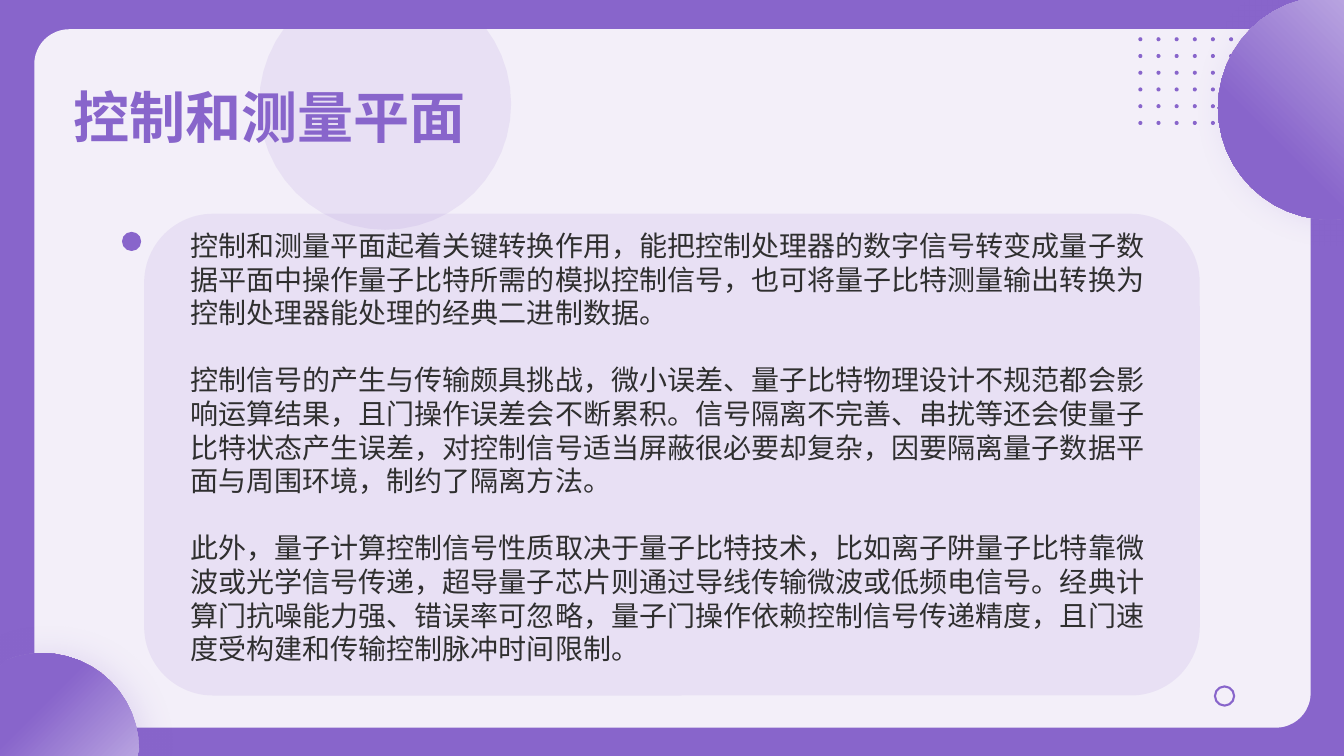
from math import cos, pi, sin

from lxml.etree import SubElement
from pptx import Presentation
from pptx.dml.color import RGBColor
from pptx.enum.shapes import MSO_SHAPE as Preset
from pptx.enum.text import MSO_ANCHOR as Anchor, MSO_AUTO_SIZE as AutoSize, PP_ALIGN as Align
from pptx.oxml.ns import qn
from pptx.util import Inches, Pt

WIDTH, HEIGHT = 13.33, 7.5
COLORS = {"purple": "8865CB", "lilac": "B8A3E0", "white": "FFFFFF", "ink": "2F2F2F"}
TITLE = "控制和测量平面"
PARAGRAPHS = [
    "控制和测量平面起着关键转换作用，能把控制处理器的数字信号转变成量子数据平面中操作量子比特所需的模拟控制信号，也可将量子比特测量输出转换为控制处理器能处理的经典二进制数据。",
    "控制信号的产生与传输颇具挑战，微小误差、量子比特物理设计不规范都会影响运算结果，且门操作误差会不断累积。信号隔离不完善、串扰等还会使量子比特状态产生误差，对控制信号适当屏蔽很必要却复杂，因要隔离量子数据平面与周围环境，制约了隔离方法。",
    "此外，量子计算控制信号性质取决于量子比特技术，比如离子阱量子比特靠微波或光学信号传递，超导量子芯片则通过导线传输微波或低频电信号。经典计算门抗噪能力强、错误率可忽略，量子门操作依赖控制信号传递精度，且门速度受构建和传输控制脉冲时间限制。",
]


def rgb(name):
    return RGBColor.from_string(COLORS[name])


def paint(shape, color=None, opacity=100, line=None):
    shape.shadow.inherit = False
    if color:
        shape.fill.solid()
        shape.fill.fore_color.rgb = rgb(color)
        if opacity < 100:
            tint = shape.element.spPr.find(qn("a:solidFill"))[0]
            SubElement(tint, qn("a:alpha"), val=str(opacity * 1000))
    else:
        shape.fill.background()
    if line:
        shape.line.color.rgb = rgb(line)
        shape.line.width = Pt(1.5)
    else:
        shape.line.fill.background()
    return shape


def paint_gradient(shape, angle):
    paint(shape)
    shape.fill.gradient()
    shape.fill.gradient_angle = angle
    for stop, color, position in zip(shape.fill.gradient_stops, ("lilac", "purple"), (0, 0.62)):
        stop.color.rgb = rgb(color)
        stop.position = position


def add_glow(shape):
    effects = shape.element.spPr.find(qn("a:effectLst"))
    glow = SubElement(effects, qn("a:outerShdw"), blurRad=str(Pt(23)), dist=str(Pt(5)),
                      dir="0", algn="ctr", rotWithShape="0")
    tint = SubElement(glow, qn("a:srgbClr"), val=COLORS["purple"])
    SubElement(tint, qn("a:alpha"), val="17000")


def add_preset(slide, preset, box, corner=None, **look):
    shape = slide.shapes.add_shape(preset, *map(Inches, box))
    if corner:
        shape.adjustments[0] = corner
    return paint(shape, **look)


def add_outline(slide, points):
    corners = [(Inches(x), Inches(y)) for x, y in points]
    builder = slide.shapes.build_freeform(*corners[0])
    builder.add_line_segments(corners[1:], close=True)
    return builder.convert_to_shape()


def add_clipped_disc(slide, x, y, radius, top=0, sides=48):
    angles = [2 * pi * side / sides for side in range(sides)]
    return add_outline(slide, [(min(max(x + radius * cos(angle), 0), WIDTH),
                                min(max(y + radius * sin(angle), top), HEIGHT)) for angle in angles])


def write(shape, paragraphs, size, font, color, bold=False, gap=0):
    frame = shape.text_frame
    frame.word_wrap = True
    frame.auto_size = AutoSize.NONE
    frame.vertical_anchor = Anchor.BOTTOM
    for index, words in enumerate(paragraphs):
        paragraph = frame.add_paragraph() if index else frame.paragraphs[0]
        paragraph.text = words
        paragraph.alignment = Align.LEFT
        paragraph.line_spacing = Pt(size * 1.2)
        paragraph.space_before = Pt(gap if index else 0)
        paragraph.font.size = Pt(size)
        paragraph.font.name = font
        paragraph.font.bold = bold
        paragraph.font.color.rgb = rgb(color)


def add_dot_grid(slide, left, top, width, height, columns=7, rows=6, radius=0.02):
    right, bottom = left + width, top + height
    grid = add_outline(slide, [(left, top), (right, top), (right, bottom), (left, bottom)])
    outline = grid.element.spPr.find(".//" + qn("a:path"))
    outline[:] = []
    reach = str(Inches(radius))
    for index in range(columns * rows):
        row, column = divmod(index, columns)
        x = (width - 2 * radius) * column / (columns - 1)
        y = radius + (height - 2 * radius) * row / (rows - 1)
        start = SubElement(outline, qn("a:moveTo"))
        SubElement(start, qn("a:pt"), x=str(Inches(x)), y=str(Inches(y)))
        SubElement(outline, qn("a:arcTo"), wR=reach, hR=reach, stAng="10800000", swAng="21600000")
        SubElement(outline, qn("a:close"))
    paint(grid, "purple")


def add_corner_disc(slide, x, y, radius, angle):
    disc = add_clipped_disc(slide, x, y, radius)
    paint_gradient(disc, angle)
    add_glow(disc)


def add_backdrop(slide):
    slide.background.fill.solid()
    slide.background.fill.fore_color.rgb = rgb("purple")
    card = add_preset(slide, Preset.ROUNDED_RECTANGLE, (0.34, 0.29, 12.66, 6.93),
                      corner=0.05, color="white", opacity=90)
    add_glow(card)
    add_dot_grid(slide, 11.29, 0.37, 1.12, 0.87)
    add_corner_disc(slide, 13.19, 1.07, 1.11, angle=225)
    add_corner_disc(slide, 0.42, 7.44, 0.96, angle=135)


def add_body(slide, left, top, width, height):
    add_preset(slide, Preset.ROUNDED_RECTANGLE, (left, top, width, height),
               corner=0.143, color="purple", opacity=10)
    halo = add_clipped_disc(slide, left + 2.39, top - 1.09, 1.25, top=0.21)
    paint(halo, "purple", opacity=10)
    add_preset(slide, Preset.OVAL, (left - 0.22, top + 0.18, 0.19, 0.19), color="purple")
    add_preset(slide, Preset.OVAL, (left + width + 0.15, top + height - 0.09, 0.19, 0.19), line="purple")
    passage = slide.shapes.add_textbox(*map(Inches, (left + 0.36, top + 0.28, width - 0.64, height - 0.53)))
    write(passage, PARAGRAPHS, size=20, font="Inter", color="ink", gap=24)


def add_title(slide, left, top, width, height):
    title = slide.shapes.title
    title.left, title.top, title.width, title.height = map(Inches, (left, top, width, height))
    write(title, [TITLE], size=40, font="Arial", color="purple", bold=True)
    title.element.getparent().append(title.element)


def main():
    deck = Presentation()
    deck.slide_width, deck.slide_height = Inches(WIDTH), Inches(HEIGHT)
    slide = deck.slides.add_slide(deck.slide_layouts[5])
    add_backdrop(slide)
    add_body(slide, 1.43, 2.12, 10.47, 4.78)
    add_title(slide, 0.63, 0.56, 11.88, 0.98)
    deck.save("out.pptx")


if __name__ == "__main__":
    main()
